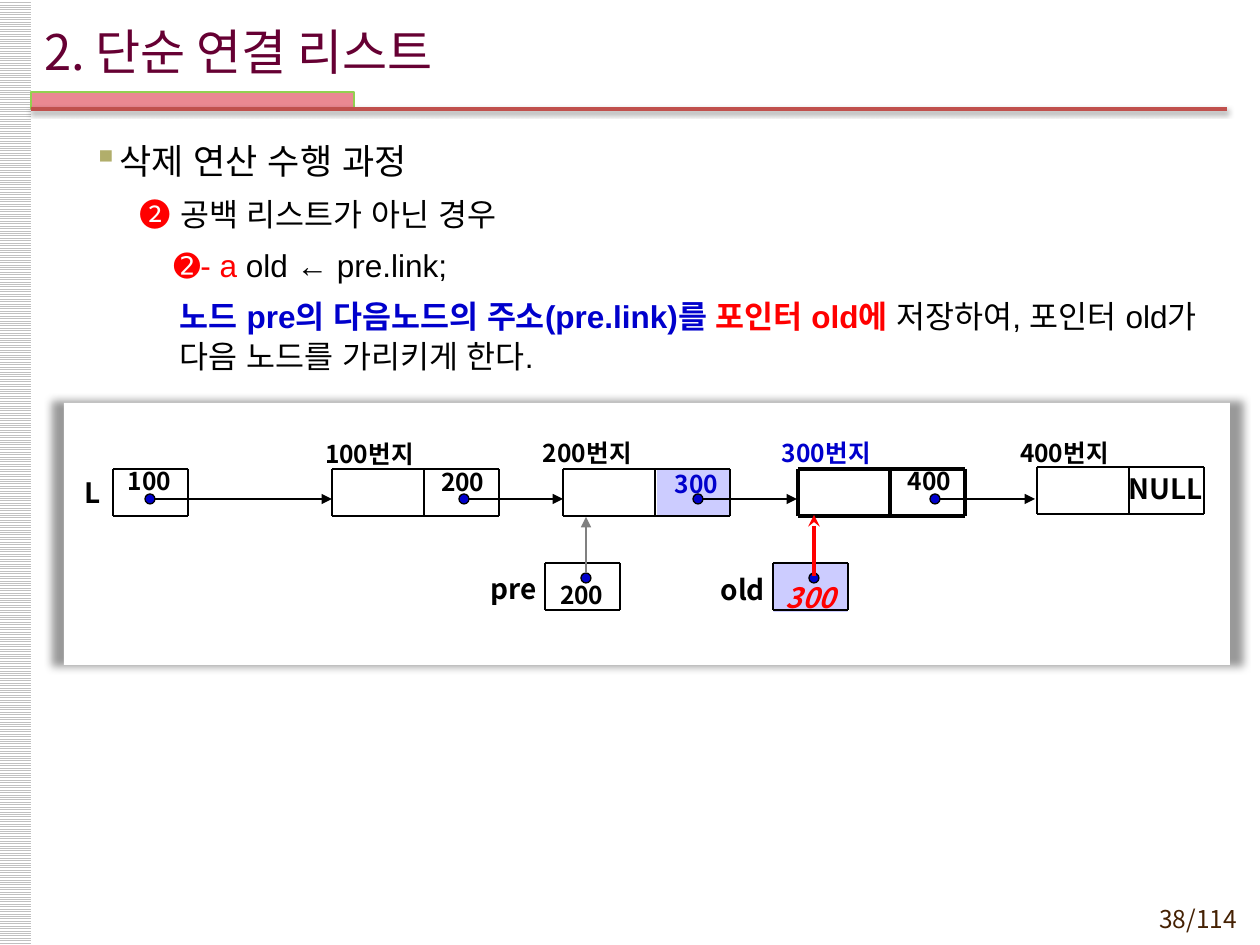
from lxml.etree import SubElement
from pptx import Presentation
from pptx.dml.color import RGBColor
from pptx.enum.dml import MSO_PATTERN
from pptx.enum.shapes import MSO_CONNECTOR, MSO_SHAPE
from pptx.enum.text import MSO_ANCHOR, PP_ALIGN
from pptx.oxml.ns import qn
from pptx.util import Pt

PX = 914400 / 126
THEME = dict(
    black="000000", white="FFFFFF", gray="808080", stripe="C0C0C0", blue="0000CC",
    red="FF0000", lilac="CCCCFF", title="660033", page="452103", bullet="B1AE6B",
    tab="EA8892", tab_line="92D050", rule="C0504D",
    sans="Noto Sans CJK KR", body="Arial",
    sz_title=28, sz_head=20, sz_body=18, sz_name=16, sz_label=14)

# Content
TITLE, PAGE = "2. 단순 연결 리스트", "38/114"
BODY = [  # margin, hanging indent, size, line spacing, runs (text, colour, bold)
    (74, -25, "sz_head", 1.1, [("삭제 연산 수행 과정", "black", False)]),
    (96, 0, "sz_body", 1.05, [("➋ ", "red", False),
                              ("공백 리스트가 아닌 경우", "black", False)]),
    (130, 0, "sz_body", 1.05, [("➋- a ", "red", False),
                               ("old ← pre.link;", "black", False)]),
    (136, 0, "sz_body", 1.05, [
        ("노드 pre의 다음노드의 주소(pre.link)를 ", "blue", True),
        ("포인터 old에 ", "red", True),
        ("저장하여, 포인터 old가 다음 노드를 가리키게 한다.", "black", False)]),
]
NODES = [  # left, top, line width, address, address left, address top, colour
    (332, 469, 1, "100번지", 312, 442, "black"),
    (563, 469, 1, "200번지", 530, 441, "black"),
    (798, 469, 2.25, "300번지", 769, 441, "blue"),
    (1037, 467, 1, "400번지", 1007, 441, "black"),
]
POINTERS = [  # name, left, top, name left, name width, name top
    ("L", 113, 469, 74, 27, 471),
    ("pre", 545, 563, 471, 66, 567),
    ("old", 773, 563, 699, 66, 568),
]
LINKS = [  # value, left, top, colour
    ("100", 115, 469, "black"),
    ("200", 428, 470, "black"),
    ("300", 662, 472, "blue"),
    ("400", 895, 469, "black"),
    ("200", 547, 583, "black"),
]
SHADED = [(658, 469, 71, 46), (774, 565, 73, 46)]
DOTS = [(145, 494), (459, 494), (693, 494), (930, 494), (581, 573), (809, 573)]
ARROWS = [  # from, to, colour, width, head
    (155, 499, 332, 499, "black", 0.75, "triangle"),
    (469, 499, 563, 499, "black", 0.75, "triangle"),
    (703, 499, 797, 499, "black", 0.75, "triangle"),
    (940, 499, 1035, 499, "black", 0.75, "triangle"),
    (586, 573, 586, 517, "gray", 0.75, "triangle"),
    (814, 576, 814, 515, "red", 2.25, "stealth"),
]
CELL_H, POINTER_W, NODE_W, DATA_W = 47, 75, 167, 92


def px(n):
    return round(n * PX)


def rgb(name):
    return RGBColor.from_string(THEME[name])


def add_shadow(sp, alpha=None, **attrs):
    """Give an outer shadow, or an empty effect list without alpha."""
    effects = SubElement(sp._element.spPr, qn("a:effectLst"))
    if alpha:
        outer = SubElement(effects, qn("a:outerShdw"), rotWithShape="0",
                           **{k: str(v) for k, v in attrs.items()})
        color = SubElement(outer, qn("a:srgbClr"), val=THEME["black"])
        SubElement(color, qn("a:alpha"), val=str(alpha * 1000))


def add_line(x1, y1, x2, y2, color="black", width=1, head=None):
    ln = s.shapes.add_connector(MSO_CONNECTOR.STRAIGHT, px(x1), px(y1), px(x2), px(y2))
    ln.line.color.rgb = rgb(color)
    ln.line.width = Pt(width)
    if head:
        SubElement(ln.line._get_or_add_ln(), qn("a:tailEnd"), type=head)
    return ln


def add_box(x, y, w, h, fill=None, line=None, kind=MSO_SHAPE.RECTANGLE):
    sp = s.shapes.add_shape(kind, px(x), px(y), px(w), px(h))
    if fill:
        sp.fill.solid()
        sp.fill.fore_color.rgb = rgb(fill)
    if line:
        sp.line.color.rgb = rgb(line)
        sp.line.width = Pt(0.75)
    else:
        sp.line.fill.background()
    return sp


def add_run(p, text, size, color, font="sans", bold=False, italic=False):
    r = p.add_run()
    r.text = text
    r.font.color.rgb = rgb(color)
    for key, value in dict(name=THEME[font], size=Pt(THEME[size]),
                           bold=bold, italic=italic).items():
        setattr(r.font, key, value)
    SubElement(r._r.rPr, qn("a:ea"), typeface=THEME[font])


def add_frame(x, y, w, h, insets=(13, 6, 13, 6), anchor=MSO_ANCHOR.MIDDLE):
    tf = s.shapes.add_textbox(px(x), px(y), px(w), px(h)).text_frame
    tf.word_wrap = True
    tf.vertical_anchor = anchor
    for side, n in zip(("left", "top", "right", "bottom"), insets):
        setattr(tf, "margin_" + side, px(n))
    return tf


def add_text(box, text, size, color, align=PP_ALIGN.LEFT, bold=True, italic=False, **frame):
    p = add_frame(*box, **frame).paragraphs[0]
    p.alignment = align
    add_run(p, text, size, color, bold=bold, italic=italic)


def add_label(x, y, w, text, color):
    add_text((x, y, w, 23), text, "sz_label", color, insets=(13, 6, 0, 6))


def add_cells(x, y, w, columns, width=1):
    for row in (y, y + CELL_H):
        add_line(x, row, x + w, row, width=width)
    for col in columns:
        add_line(x + col, y, x + col, y + CELL_H, width=width)


prs = Presentation()
prs.slide_width, prs.slide_height = px(1260), px(945)
s = prs.slides.add_slide(prs.slide_layouts[6])

# Side stripe, title and rule
stripe = add_box(-1, 0, 32, 945)
stripe.fill.patterned()
stripe.fill.pattern = MSO_PATTERN.LIGHT_HORIZONTAL
stripe.fill.fore_color.rgb = rgb("stripe")
stripe.fill.back_color.rgb = rgb("white")
stripe.shadow.inherit = False
add_box(31, 92, 323, 17, "tab", "tab_line").shadow.inherit = False
rule = add_line(31, 109, 1227, 109, "rule", 2)
add_shadow(rule, 38, blurRad=Pt(3.1), dist=Pt(1.6), dir=5400000)
add_text((31, 11, 1042, 79), TITLE, "sz_title", "title", bold=False)
add_text((1116, 898, 134, 37), PAGE, "sz_label", "page", PP_ALIGN.RIGHT, False,
         anchor=MSO_ANCHOR.TOP)

# Body text
tf = add_frame(31, 129, 1197, 270, anchor=MSO_ANCHOR.TOP)
for i, (margin, indent, size, spacing, runs) in enumerate(BODY):
    p = tf.add_paragraph() if i else tf.paragraphs[0]
    p.line_spacing = spacing
    p.space_after = Pt(3)
    if i:
        p.space_before = Pt(THEME[size] * 0.2)
    pPr = p._p.get_or_add_pPr()
    pPr.set("marL", str(px(margin)))
    pPr.set("indent", str(px(indent)))
    if indent:
        color = SubElement(pPr, qn("a:buClr"))
        SubElement(color, qn("a:srgbClr"), val=THEME["bullet"])
        SubElement(pPr, qn("a:buChar"), char="▪")
    for text, color, bold in runs:
        add_run(p, text, size, color, "body", bold)

# Diagram panel
panel = add_box(64, 403, 1166, 262, "white")
add_shadow(panel, 40, blurRad=Pt(5), dist=0, dir=0, sx=102000, sy=101000, algn="ctr")
for box in SHADED:
    add_box(*box, "lilac", "lilac").shadow.inherit = False

# List nodes and pointer variables
for x, y, width, address, label_x, label_y, color in NODES:
    add_cells(x, y, NODE_W, (0, DATA_W, NODE_W), width)
    add_label(label_x, label_y, 121, address, color)
for name, x, y, name_x, name_w, name_y in POINTERS:
    add_cells(x, y, POINTER_W, (0, POINTER_W))
    add_text((name_x, name_y, name_w, 48), name, "sz_name", "black", PP_ALIGN.RIGHT,
             insets=(0, 0, 0, 6))
add_text((1125, 467, 82, 48), "NULL", "sz_name", "black", PP_ALIGN.CENTER,
         insets=(0, 0, 0, 6))

# Link values, dots and arrows
for value, x, y, color in LINKS:
    add_label(x, y, 71, value, color)
add_text((755, 586, 111, 23), "300", "sz_name", "red", PP_ALIGN.CENTER, italic=True)
for x, y in DOTS:
    add_box(x, y, 10, 10, "blue", "black", MSO_SHAPE.OVAL).shadow.inherit = False
for arrow in ARROWS:
    add_line(*arrow)

# Plain connectors carry no shadow
for sp in s.shapes:
    if sp._element.tag == qn("p:cxnSp") and sp._element.spPr.find(qn("a:effectLst")) is None:
        add_shadow(sp)

prs.save("out.pptx")
